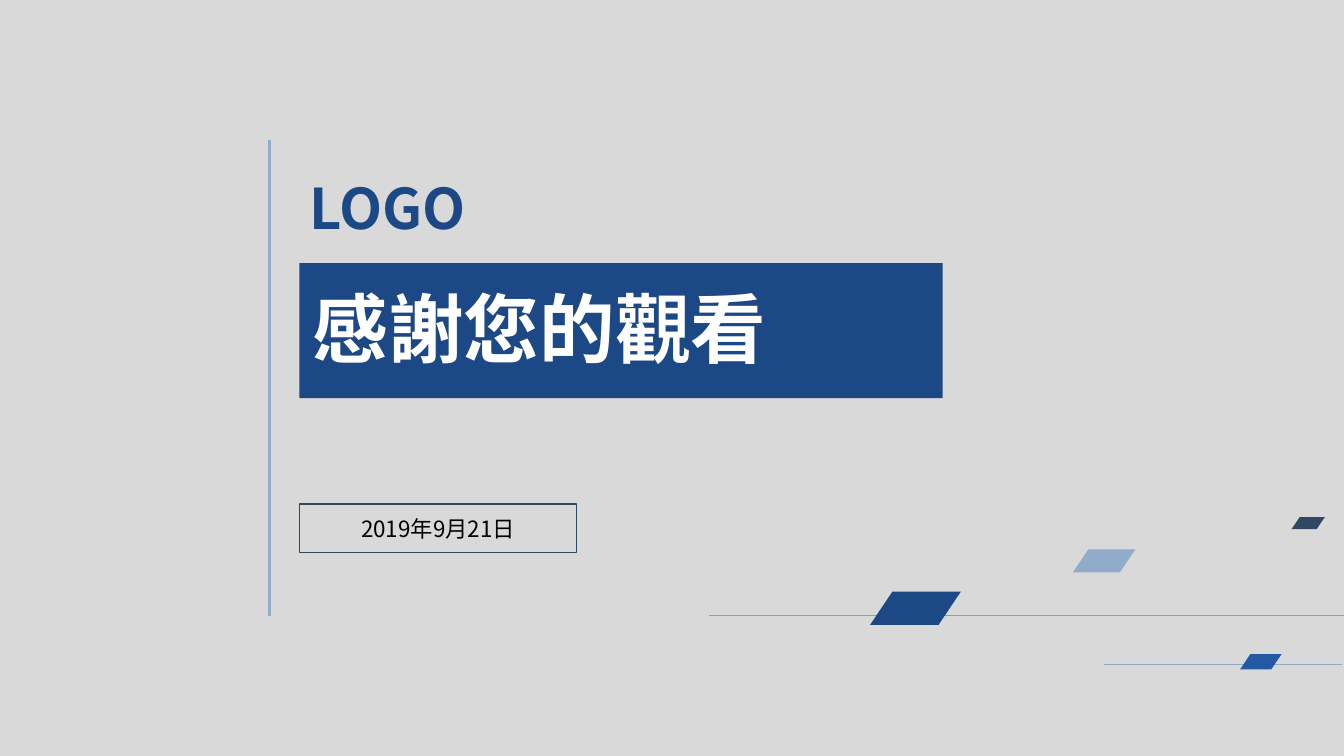
"""Build the closing slide with its title band, date box and slanted accents."""
import pptx
import pptx.util
import pptx.dml.color
import pptx.enum.shapes
import pptx.enum.text
import pptx.oxml.ns

Inches = pptx.util.Inches
Pt = pptx.util.Pt
RGBColor = pptx.dml.color.RGBColor
Shape = pptx.enum.shapes.MSO_SHAPE
Align = pptx.enum.text.PP_ALIGN
qn = pptx.oxml.ns.qn

FONT = "Noto Sans CJK SC"
GREY = RGBColor(0xD9, 0xD9, 0xD9)
NAVY = RGBColor(0x1C, 0x48, 0x85)
SLATE = RGBColor(0x30, 0x48, 0x64)
PALE = RGBColor(0x91, 0xAB, 0xCB)
STEEL = RGBColor(0x8F, 0xA0, 0xAF)
BLUE = RGBColor(0x22, 0x59, 0xA2)
WHITE = RGBColor(0xFF, 0xFF, 0xFF)
BLACK = RGBColor(0, 0, 0)


def add_block(kind, box, fill=None):
    block = slide.shapes.add_shape(kind, *map(Inches, box))
    block.shadow.inherit = False
    block.line.fill.background()
    if fill is None:
        block.fill.background()
    else:
        block.fill.solid()
        block.fill.fore_color.rgb = fill
    return block


def write(shape, text, size, color, bold, align):
    frame = shape.text_frame
    frame.text = text
    frame.word_wrap = True
    frame.auto_size = pptx.enum.text.MSO_AUTO_SIZE.NONE
    frame.vertical_anchor = pptx.enum.text.MSO_ANCHOR.MIDDLE
    para = frame.paragraphs[0]
    para.alignment = align
    font = para.font
    font.size, font.bold, font.name = Pt(size), bold, FONT
    font.color.rgb = color
    props = para._p.pPr.find(qn("a:defRPr"))
    east = props.makeelement(qn("a:ea"), {"typeface": FONT})
    props.find(qn("a:latin")).addnext(east)


deck = pptx.Presentation()
deck.slide_width, deck.slide_height = Inches(13.33), Inches(7.5)
slide = deck.slides.add_slide(deck.slide_layouts[5])
slide.background.fill.solid()
slide.background.fill.fore_color.rgb = GREY

for x1, y1, x2, y2, color, width in (
    (13.31, 6.59, 10.95, 6.59, PALE, 0.75),
    (13.33, 6.11, 7.03, 6.11, STEEL, 0.75),
    (2.67, 1.39, 2.67, 6.11, PALE, 2.25),
):
    rule = slide.shapes.add_connector(
        pptx.enum.shapes.MSO_CONNECTOR.STRAIGHT, *map(Inches, (x1, y1, x2, y2)))
    rule.line.color.rgb = color
    rule.line.width = Pt(width)
    props = rule._element.spPr
    props.append(props.makeelement(qn("a:effectLst"), {}))

band = add_block(Shape.RECTANGLE, (2.97, 2.61, 6.38, 1.34), NAVY)
title = slide.shapes.title
title.left, title.top, title.width, title.height = map(Inches, (3, 2.78, 6.24, 1.01))
band._element.addnext(title._element)
write(title, "感謝您的觀看", 54, WHITE, True, Align.LEFT)

label = slide.shapes.add_textbox(*map(Inches, (2.97, 1.71, 1.83, 0.77)))
write(label, "LOGO", 40, NAVY, True, Align.LEFT)
for head in (title, label):
    head.text_frame.margin_top = 0
    head.text_frame.margin_bottom = Inches(0.08)

date = add_block(Shape.RECTANGLE, (2.97, 5, 2.75, 0.48))
date.line.color.rgb = SLATE
date.line.width = Pt(1)
write(date, "2019年9月21日", 16, BLACK, False, Align.CENTER)

for left, top, width, height, color in (
    (8.63, 5.87, 0.9, 0.33, NAVY),
    (10.64, 5.45, 0.62, 0.23, PALE),
    (12.3, 6.49, 0.41, 0.15, BLUE),
    (12.81, 5.13, 0.33, 0.12, SLATE),
):
    slant = add_block(Shape.PARALLELOGRAM, (left, top, width, height), color)
    slant.adjustments[0] = 0.67

deck.save("out.pptx")
